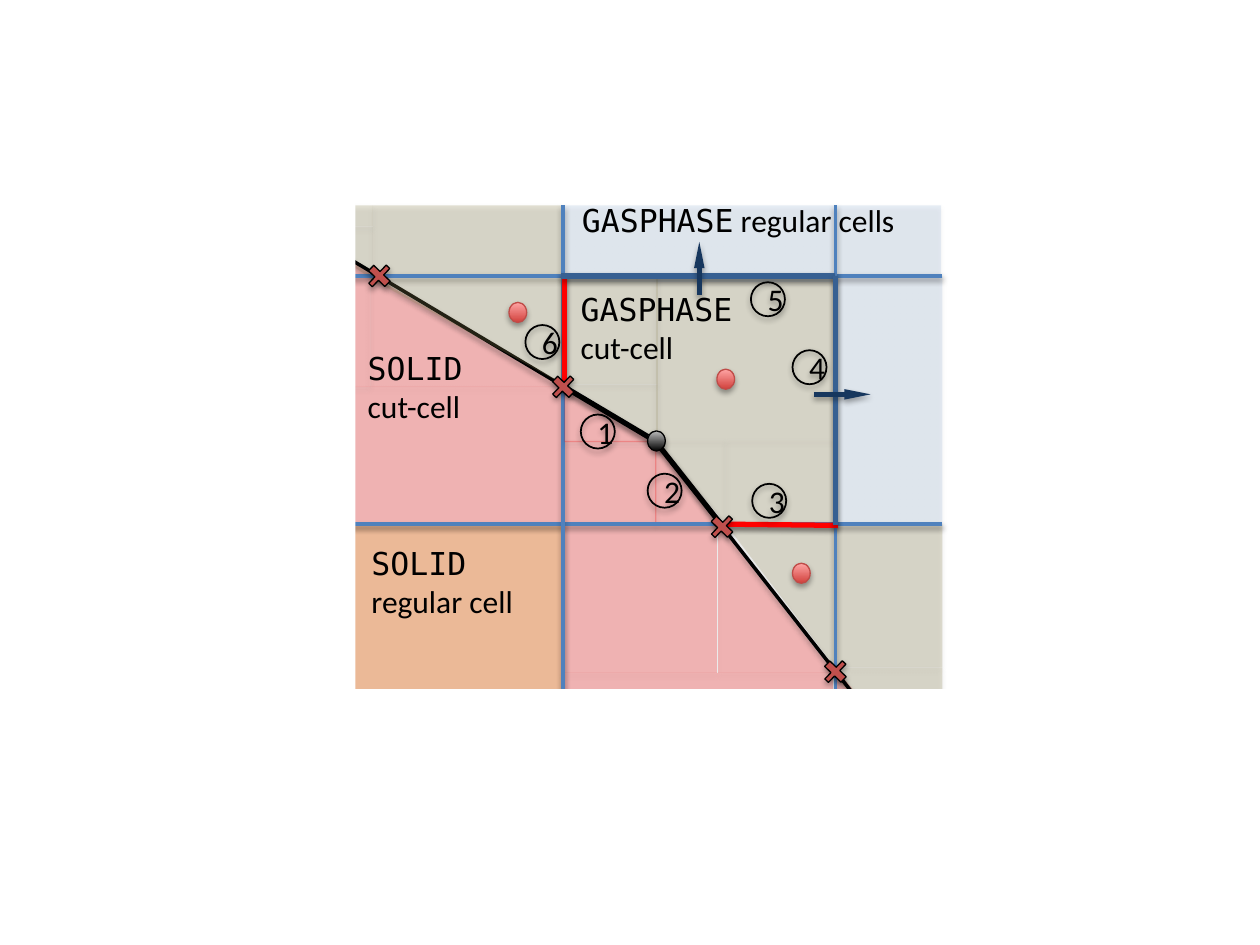
import lxml.etree
import pptx
import pptx.dml.color
import pptx.enum.dml
import pptx.enum.shapes
import pptx.enum.text
import pptx.oxml.ns
import pptx.util


class Theme:
    ink, paper = "000000", "FFFFFF"
    solid, block, gas, air = "FF0000", "FF6600", "948A54", "4F81BD"
    face, arrow, cross, rim = "376092", "17375E", "C0504D", "BF4C48"
    rose, coal = ("D1403C", "FFA6A5"), ("000000", "BDBDBD")
    see = {solid: 24, block: 33, gas: 24, air: 13}  # opacity in percent
    mono, sans, size = "DejaVu Sans Mono", "Calibri", 18
    thin, ring, grid, bold = 0.75, 1, 2, 3


deck = pptx.Presentation()
deck.slide_width, deck.slide_height = pptx.util.Inches(10), pptx.util.Inches(7.5)
unit = deck.slide_width / 100  # square grid: 100 columns by 75 rows
slide = deck.slides.add_slide(deck.slide_layouts[6])
shapes = slide.shapes
forms = pptx.enum.shapes.MSO_SHAPE
tint = pptx.dml.color.RGBColor.from_string
qn = pptx.oxml.ns.qn


def draw(kind, *place, fill=None, see=100, edge=None, width=Theme.thin,
         turn=0, head=False, shade=True):
    """Draw a shape (left, top, width, height) or a line (x1, y1, x2, y2)."""
    place = [round(n * unit) for n in place]
    if kind == "line":
        item = shapes.add_connector(pptx.enum.shapes.MSO_CONNECTOR.STRAIGHT, *place)
    else:
        item = shapes.add_shape(kind, *place)
        item.rotation = turn
        if fill is None:
            item.fill.background()
        elif isinstance(fill, tuple):
            item.fill.gradient()
            item.fill.gradient_angle = 90
            for stop, tone in zip(item.fill.gradient_stops, fill):
                stop.color.rgb = tint(tone)
        else:
            item.fill.solid()
            item.fill.fore_color.rgb = tint(fill)
            if see < 100:
                tone = item._element.spPr.find(".//" + qn("a:srgbClr"))
                lxml.etree.SubElement(tone, qn("a:alpha"), val=str(see * 1000))
    if edge:
        item.line.color.rgb = tint(edge)
        item.line.width = pptx.util.Pt(width)
    else:
        item.line.fill.background()
    if head:
        lxml.etree.SubElement(item.line._get_or_add_ln(), qn("a:tailEnd"),
                              type="triangle", w="sm", len="lg")
    glow = lxml.etree.SubElement(item._element.spPr, qn("a:effectLst"))
    if shade:
        cast = lxml.etree.SubElement(glow, qn("a:outerShdw"), blurRad="40000",
                                     dist="23000", dir="5400000", rotWithShape="0")
        tone = lxml.etree.SubElement(cast, qn("a:srgbClr"), val=Theme.ink)
        lxml.etree.SubElement(tone, qn("a:alpha"), val="35000")
    return item


def write(frame, *lines, align=None, tone=Theme.ink, size=Theme.size):
    """Fill a frame; each line is a list of (text, font) runs."""
    for rank, line in enumerate(lines):
        para = frame.add_paragraph() if rank else frame.paragraphs[0]
        para.alignment = align
        for text, font in line:
            run = para.add_run()
            run.text = text
            run.font.name, run.font.size = font, pptx.util.Pt(size)
            run.font.color.rgb = tint(tone)


# Cell lines, with the solid wall running through the bend
left, right, top, base = 44.7, 66.3, 21.9, 41.6
bend = (52, 35)
wide, high, edge = 74.8, 67.2, 16.3

# Tinted cells; "half" is a triangle with its corner at bottom left, "flip" at top right
cells = [
    ("half", Theme.solid, 57, base, 9.2, 11.8),
    ("rect", Theme.solid, left, base, 12.2, 11.8),
    ("rect", Theme.block, 23, base, 21.7, 19.7),
    ("half", Theme.solid, right, 53, 6.8, 8.4),
    ("rect", Theme.solid, left, 53.4, 21.4, 7.9),
    ("half", Theme.solid, 52, 34.9, 4.9, 6.7),
    ("rect", Theme.solid, left, 35, 7.4, 6.6),
    ("rect", Theme.gas, 52.1, top, 14.1, 13),
    ("half", Theme.solid, 29.4, 21.8, 15.4, 8.9),
    ("half", Theme.solid, 23.2, 17.7, 6.4, 4.1),
    ("rect", Theme.solid, 23.4, 30.7, 21.4, 10.9),
    ("rect", Theme.solid, 23, 21.8, 6.4, 8.9),
    ("flip", Theme.gas, 57.6, base, 8.7, 11.4),
    ("rect", Theme.air, right, top, 8.5, 19.7),
    ("rect", Theme.air, left, edge, 21.6, 6.1),
    ("rect", Theme.air, right, edge, 8.4, 5.6),
    ("rect", Theme.gas, right, base, 8.5, 11.4),
    ("flip", Theme.gas, 52, 34.9, 5.6, 6.7),
    ("rect", Theme.gas, 57.6, 34.9, 8.7, 6.7),
    ("flip", Theme.gas, 44.9, 30.5, 7.3, 4.4),
    ("rect", Theme.gas, left, top, 7.5, 8.6),
    ("flip", Theme.gas, 23.4, 18, 6.2, 4.2),
    ("rect", Theme.gas, 29.6, edge, 15.1, 5.6),
    ("rect", Theme.gas, 23.2, edge, 6.4, 1.7),
    ("line", Theme.air, wide, top, 16.9, top),
    ("line", Theme.air, wide, base, 16.9, base),
    ("line", Theme.air, left, high, left, edge),
    ("line", Theme.air, right, high, right, edge),
    ("half", Theme.solid, 44.8, 30.7, 7.2, 4.4),
    ("flip", Theme.gas, 65.8, 53, 9, 11.4),
    ("line", Theme.ink, *bend, 75.8, 65.4),
    ("line", Theme.ink, 18.1, 14.8, *bend),
    ("flip", Theme.gas, 29.4, 22.1, 15.3, 8.4),
]
kinds = {"rect": forms.RECTANGLE, "half": forms.RIGHT_TRIANGLE,
         "flip": forms.RIGHT_TRIANGLE}
for kind, tone, *place in cells:
    if kind == "line":
        draw(kind, *place, edge=tone, width=Theme.grid)
    else:
        draw(kinds[kind], *place, fill=tone, see=Theme.see[tone],
             edge="7D60A0" if tone == Theme.block else None,
             turn=180 if kind == "flip" else 0)

# Cell centres
for x, y in [(56.9, 29.3), (62.9, 44.7), (40.4, 24)]:
    draw(forms.OVAL, x, y, 1.4, 1.6, fill=Theme.rose, edge=Theme.rim)

# Outer wall crossings, then inner ones after the cut faces
outer = [(65.4, 52.3), (29.2, 20.9)]
inner = [(43.8, 29.7), (56.4, 40.8)]
faces = [
    (*bend, 57.3, 41.7, Theme.ink), (44.6, 30.6, *bend, Theme.ink),
    (57.4, base, 66.5, 41.7, Theme.solid), (44.8, top, 44.8, 30.6, Theme.solid),
]
for marks, lines in [(outer, []), (inner, faces)]:
    for *place, tone in lines:
        draw("line", *place, edge=tone, width=Theme.bold)
    for x, y in marks:
        mark = draw(forms.CROSS, x, y, 1.8, 2, fill=Theme.cross, edge=Theme.ink, turn=43.8)
        mark.adjustments[0] = 0.39
draw(forms.OVAL, 51.4, 34.2, 1.4, 1.6, fill=Theme.coal, edge=Theme.ink)

# White margins trim the bottom and the left side
for place in [(12.7, 54.7, 68.6, 17.5), (15, 8.8, 13.2, 52.4)]:
    draw(forms.RECTANGLE, *place, fill=Theme.paper, shade=False)

# Labels
gas, solid = ("GASPHASE", Theme.mono), ("SOLID", Theme.mono)
cut = ("cut-cell", Theme.sans)
labels = [
    (45.1, 22.5, 14.1, 7.1, [gas], [cut]),
    (45.2, 15.5, 27.1, 4, [gas, (" regular cells", Theme.sans)]),
    (28.2, 27.2, 9.6, 7.1, [solid], [cut]),
    (28.5, 42.7, 13.4, 7.1, [solid], [("regular cell", Theme.sans)]),
]
for *place, in_rows in [(*item[:4], item[4:]) for item in labels]:
    frame = shapes.add_textbox(*[round(n * unit) for n in place]).text_frame
    frame.word_wrap = False
    frame.auto_size = pptx.enum.text.MSO_AUTO_SIZE.SHAPE_TO_FIT_TEXT
    write(frame, *in_rows)

# Numbered faces
spots = [(46.1, 32.9), (51.4, 37.6), (59.7, 38.4), (62.9, 27.8), (59.6, 22.4), (41.7, 25.8)]
for count, (x, y) in enumerate(spots, 1):
    ring = draw(forms.OVAL, x, y, 2.7, 2.7, edge=Theme.ink, width=Theme.ring)
    ring.text_frame.vertical_anchor = pptx.enum.text.MSO_ANCHOR.MIDDLE
    write(ring.text_frame, [(str(count), Theme.sans)],
          align=pptx.enum.text.PP_ALIGN.CENTER)

# Gas faces and their outward arrows
for *place, tone in [(44.5, top, right, top, Theme.face), (right, 41.7, right, top, Theme.face),
                     (55.5, 23.4, 55.5, 19.2, Theme.arrow), (64.6, 31.3, 69.1, 31.3, Theme.arrow)]:
    draw("line", *place, edge=tone, width=Theme.bold, head=tone == Theme.arrow)

deck.save("out.pptx")
